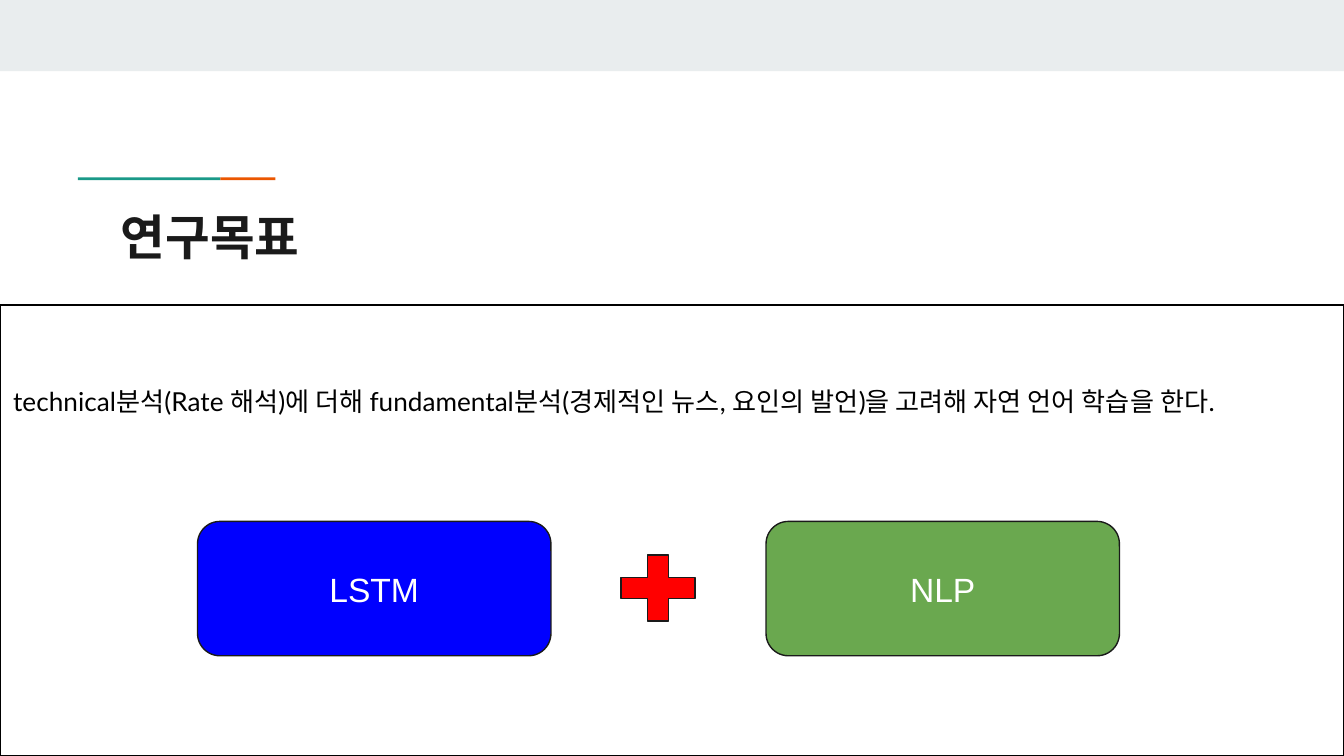
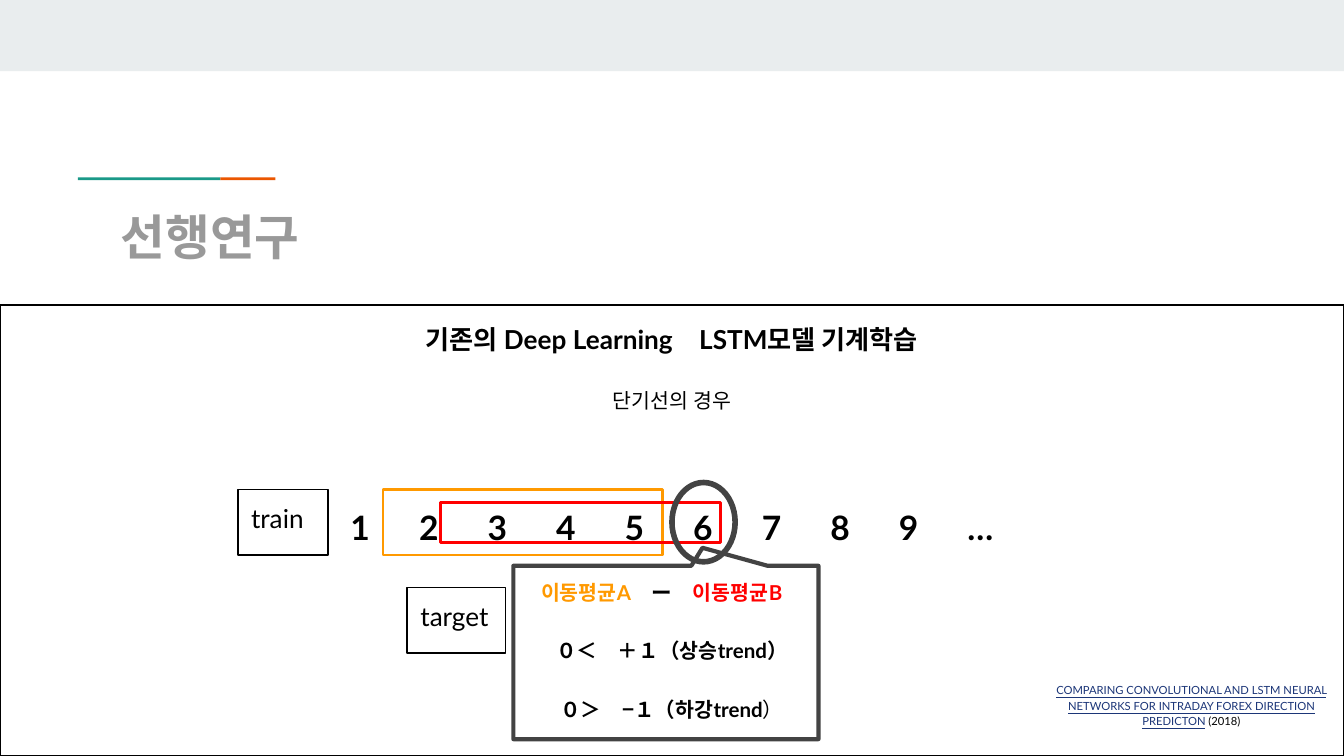
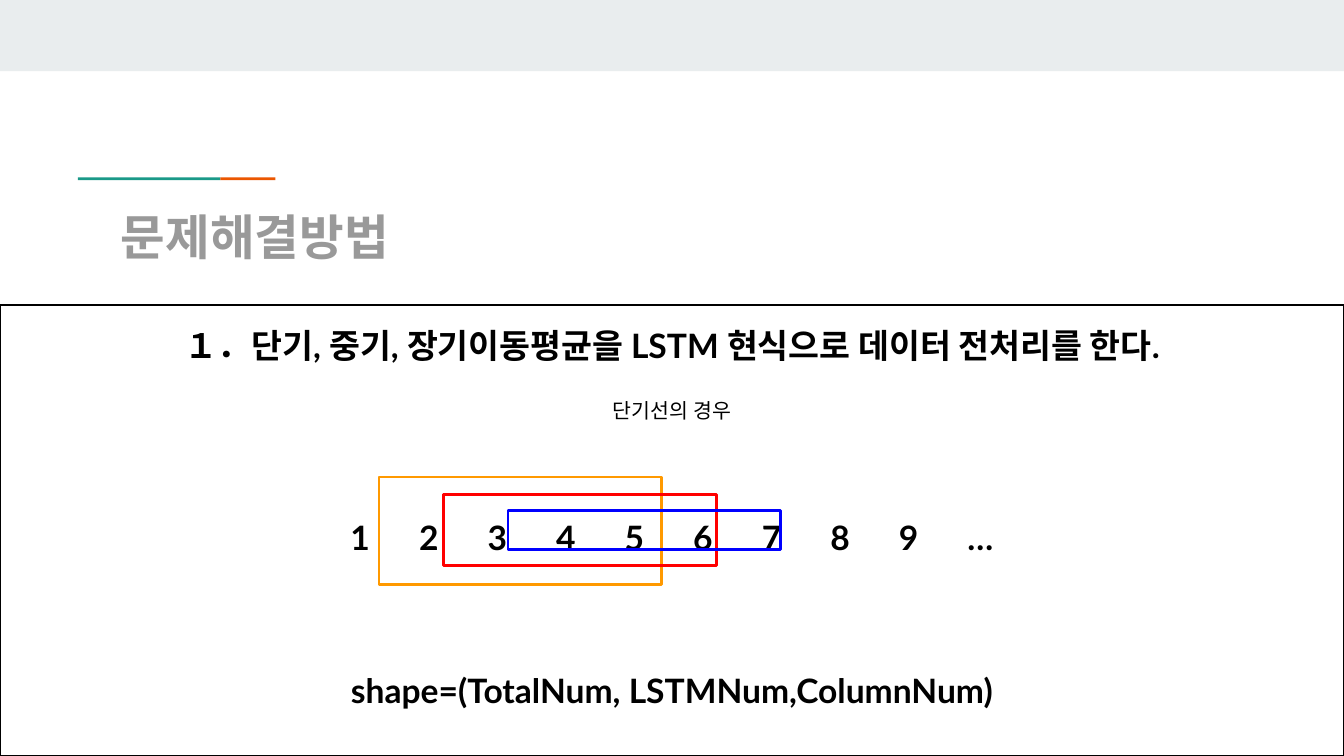
import pptx
import pptx.util
import pptx.dml.color
import pptx.enum.shapes
import pptx.enum.text
import lxml.etree
from pptx.util import Inches

KIND = pptx.enum.shapes.MSO_SHAPE
ALIGN = pptx.enum.text.PP_ALIGN
ANCHOR = pptx.enum.text.MSO_ANCHOR
HUE = {
    "band": "E9EDEE", "teal": "1A9988", "rust": "EB5600", "ink": "1A1A1A",
    "gray": "999999", "dark": "434343", "black": "000000", "white": "FFFFFF",
    "blue": "0000FF", "green": "6AA84F", "red": "FF0000", "gold": "FF9900",
    "navy": "1C3678",
}
RGB = {name: pptx.dml.color.RGBColor.from_string(code) for name, code in HUE.items()}


def draw(page, kind, spot, fill=None, line=None, width=0.75):
    item = page.shapes.add_shape(kind, *[Inches(n) for n in spot])
    item.shadow.inherit = False
    if fill:
        item.fill.solid()
        item.fill.fore_color.rgb = RGB[fill]
    else:
        item.fill.background()
    if line:
        item.line.color.rgb = RGB[line]
        item.line.width = pptx.util.Pt(width)
    else:
        item.line.fill.background()
    return item


def write(frame, rows, font="Lato", align=ALIGN.LEFT, space=1.0, top=0.1, anchor=ANCHOR.TOP):
    frame.word_wrap = True
    frame.auto_size = pptx.enum.text.MSO_AUTO_SIZE.NONE
    frame.vertical_anchor = anchor
    frame.margin_left = frame.margin_right = frame.margin_bottom = Inches(0.1)
    frame.margin_top = Inches(top)
    for i, (gap, runs) in enumerate(rows):
        para = frame.add_paragraph() if i else frame.paragraphs[0]
        para.alignment = align
        para.line_spacing = space
        para.space_before = pptx.util.Pt(gap)
        if runs[0][0].startswith("\t"):
            para.alignment = ALIGN.LEFT
            props = para._p.get_or_add_pPr()
            tabs = lxml.etree.SubElement(props, pptx.oxml.ns.qn("a:tabLst"))
            for n in range(10):
                stop = lxml.etree.SubElement(tabs, pptx.oxml.ns.qn("a:tab"))
                stop.set("pos", str(Inches(2.51 + 0.51 * n)))
                stop.set("algn", "l")
        for text, size, hue, bold, under in runs:
            run = para.add_run()
            run.text = text
            run.font.name = font
            run.font.size = pptx.util.Pt(size)
            run.font.bold = bold
            run.font.underline = under
            run.font.color.rgb = RGB[hue]


deck = pptx.Presentation()
deck.slide_width = Inches(10)
deck.slide_height = deck.slide_width * 9 // 16

days = "".join("\t" + mark for mark in "123456789…")
short = (16, [("단기선의 경우", 11, "black", False, False)])
count = (47, [(days, 18, "black", True, False)])

goal = [(0, [("technical분석(Rate 해석)에 더해 fundamental분석(경제적인 뉴스, 요인의 발언)을 고려해 자연 언어 학습을 한다.",
              14, "black", False, False)])]
prior = [
    (0, [("기존의 Deep Learning　LSTM모델 기계학습", 14, "black", True, False)]),
    short,
    count,
    (16, [("이동평균A", 11, "gold", True, False),
          ("　ー　", 11, "black", True, False),
          ("이동평균B　", 11, "red", True, False)]),
    (16, [("０＜　＋１（상승trend）", 11, "black", True, False)]),
    (16, [("０＞　−１（하강trend", 11, "black", True, False),
          ("）", 11, "black", False, False)]),
]
method = [
    (0, [("１．단기, 중기, 장기이동평균을 LSTM 현식으로 데이터 전처리를 한다.", 18, "black", True, False)]),
    short,
    count,
    (57, [("shape=(TotalNum, LSTMNum,ColumnNum)", 18, "black", True, False)]),
]

pages = []
for name, hue, rows, align, top in [
    ("연구목표", "ink", goal, ALIGN.LEFT, 0.56),
    ("선행연구", "gray", prior, ALIGN.CENTER, 0.1),
    ("문제해결방법", "gray", method, ALIGN.CENTER, 0.1),
]:
    page = deck.slides.add_slide(deck.slide_layouts[5])
    pages.append(page)
    draw(page, KIND.RECTANGLE, (0, 0, 10, 0.53), "band")
    draw(page, KIND.RECTANGLE, (0.58, 1.32, 1.06, 0.02), "teal")
    draw(page, KIND.RECTANGLE, (1.64, 1.32, 0.41, 0.02), "rust")
    title = page.shapes.title
    title.left, title.top = Inches(0.8), Inches(1.44)
    title.width, title.height = Inches(8.41), Inches(0.59)
    write(title.text_frame, [(0, [(name, 26, hue, True, False)])], "Manrope")
    body = draw(page, KIND.RECTANGLE, (0, 2.27, 10, 3.35), line="black")
    write(body.text_frame, rows, align=align, space=1.15, top=top)

first, second, third = pages

for left, fill, label in [(1.47, "blue", "LSTM"), (5.7, "green", "NLP")]:
    card = draw(first, KIND.ROUNDED_RECTANGLE, (left, 3.88, 2.63, 1), fill, "ink")
    write(card.text_frame, [(0, [(label, 18, "white", False, False)])],
          "Arial", ALIGN.CENTER, anchor=ANCHOR.MIDDLE)
plus = draw(first, KIND.MATH_PLUS, (4.52, 4.04, 0.75, 0.67), "red", "ink")
plus.adjustments[0] = 0.235

bubble = draw(second, KIND.ROUNDED_RECTANGULAR_CALLOUT, (3.82, 4.21, 2.27, 1.29), line="dark", width=2.25)
for i, value in enumerate((0.12, -0.604, 0)):
    bubble.adjustments[i] = value

for page, spot, hue in [
    (second, (2.85, 3.64, 2.08, 0.49), "gold"),
    (second, (3.28, 3.74, 2.08, 0.3), "red"),
    (third, (2.82, 3.55, 2.1, 0.8), "gold"),
    (third, (3.3, 3.68, 2.03, 0.53), "red"),
    (third, (3.78, 3.8, 2.03, 0.29), "blue"),
]:
    draw(page, KIND.RECTANGLE, spot, line=hue, width=1.5)

for label, spot in [("train", (1.77, 3.64, 0.67, 0.49)), ("target", (3.03, 4.37, 0.73, 0.49))]:
    tag = draw(second, KIND.RECTANGLE, spot, line="black")
    write(tag.text_frame, [(0, [(label, 14, "black", False, False)])])
draw(second, KIND.OVAL, (5, 3.59, 0.47, 0.59), line="dark", width=3)

cite = second.shapes.add_textbox(Inches(7.73), Inches(4.97), Inches(2.27), Inches(0.65))
write(cite.text_frame, [(0, [
    ("COMPARING CONVOLUTIONAL AND LSTM NEURAL NETWORKS FOR INTRADAY FOREX DIRECTION PREDICTON",
     6, "navy", False, True),
    (" (2018)", 6, "black", False, False),
])], align=ALIGN.CENTER, space=1.15)

deck.save("out.pptx")
